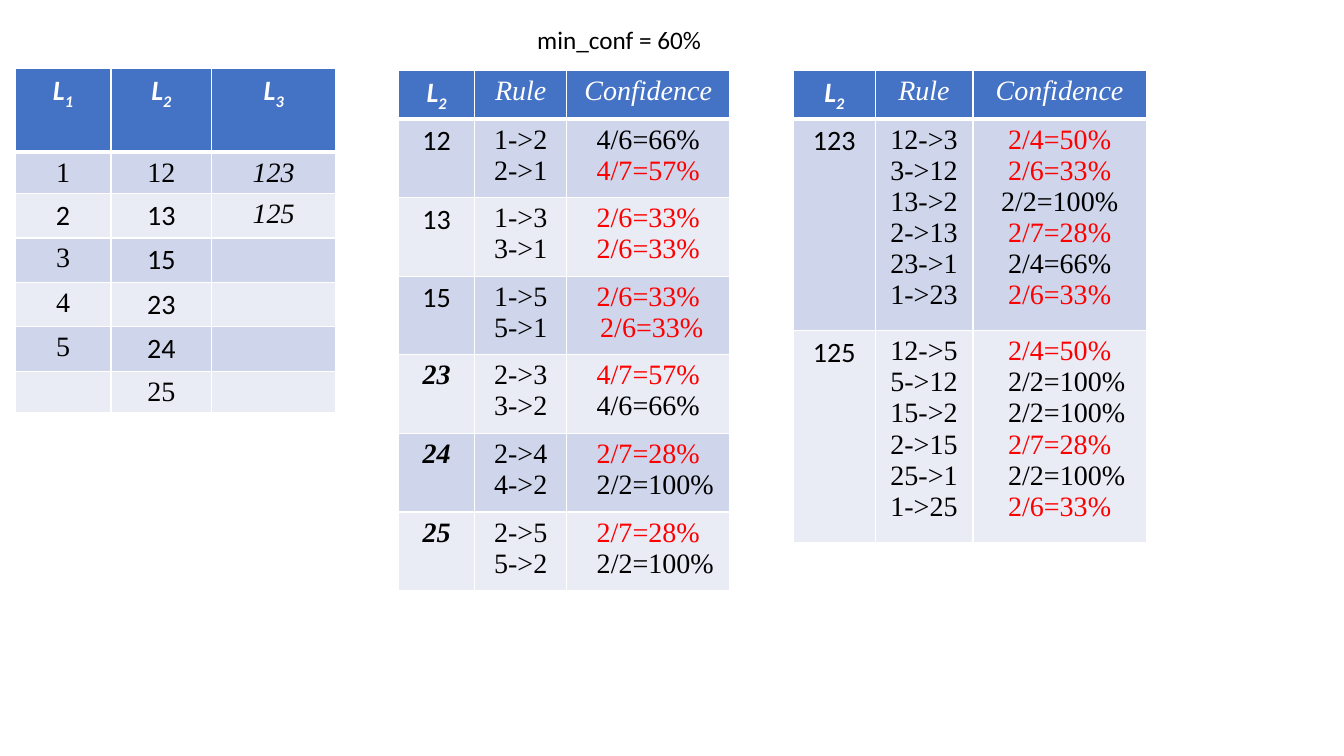
from dataclasses import dataclass

from lxml.etree import SubElement
from pptx import Presentation
from pptx.dml.color import RGBColor as RGB
from pptx.enum.text import PP_ALIGN as Align
from pptx.oxml.ns import qn
from pptx.util import Inches, Pt


class Theme:
    head = RGB.from_string("4472C4")
    bands = RGB.from_string("CFD5EA"), RGB.from_string("E9EBF5")
    white = RGB.from_string("FFFFFF")
    black = RGB.from_string("000000")
    red = RGB.from_string("FF0000")
    sans, serif = "Calibri", "Times New Roman"
    note, body = Pt(18), Pt(20)
    thin, thick = Pt(1), Pt(3)
    hang = Inches(0.38)


MIN = 60


@dataclass
class Line:
    text: str
    font: str = Theme.serif
    color: RGB = Theme.black
    bold: bool = False
    ital: bool = False
    sub: str = ""
    pad: float = 0


def sans(text):
    return [Line(text, Theme.sans)]


def serif(text, **look):
    return [Line(text, **look)]


def level(num):
    """Header of an itemset column: L with a subscript."""
    return [Line("L", Theme.sans, Theme.white, True, True, num)]


def title(text):
    return serif(text, color=Theme.white, ital=True)


def score(text, pad=0):
    """Confidence line, red when it falls below the minimum."""
    share = int(text.split("=")[1].rstrip("%"))
    return Line(text, color=Theme.red if share < MIN else Theme.black, pad=pad)


def rules(item, *pairs):
    """Table row: itemset, its rules, their confidences."""
    return [item, [Line(pair[0]) for pair in pairs],
            [score(*pair[1:]) for pair in pairs]]


def edge(cell, head):
    props = cell._tc.get_or_add_tcPr()
    for side in "LRTB":
        wide = Theme.thick if head and side == "B" else Theme.thin
        line = SubElement(props, qn(f"a:ln{side}"), w=str(int(wide)))
        fill = SubElement(line, qn("a:solidFill"))
        SubElement(fill, qn("a:srgbClr"), val=str(Theme.white))


def write(para, line):
    para.alignment = Align.CENTER
    props = para._p.get_or_add_pPr()
    props.set("marL", str(Theme.hang))
    props.set("indent", str(Inches(line.pad) - Theme.hang))
    font = para.font
    font.name, font.size = line.font, Theme.body
    font.bold, font.italic = line.bold, line.ital
    font.color.rgb = line.color
    para.add_run().text = line.text
    if line.sub:
        run = para.add_run()
        run.text = line.sub
        run.font._element.set("baseline", "-25000")


def grid(slide, left, top, cols, highs, rows):
    """Table with a blue header and banded rows; lengths in inches."""
    frame = slide.shapes.add_table(
        len(rows), len(cols), Inches(left), Inches(top),
        Inches(sum(cols)), Inches(sum(highs)))
    table = frame.table
    for col, wide in zip(table.columns, cols):
        col.width = Inches(wide)
    for r, (row, high) in enumerate(zip(rows, highs)):
        table.rows[r].height = Inches(high)
        for c, lines in enumerate(row):
            cell = table.cell(r, c)
            edge(cell, r == 0)
            cell.fill.solid()
            cell.fill.fore_color.rgb = Theme.bands[(r - 1) % 2] if r else Theme.head
            text = cell.text_frame
            for i, line in enumerate(lines):
                write(text.add_paragraph() if i else text.paragraphs[0], line)


def note(slide, left, top, wide, high):
    box = slide.shapes.add_textbox(*map(Inches, (left, top, wide, high)))
    box.text_frame.word_wrap = True
    para = box.text_frame.paragraphs[0]
    para.text = f"min_conf = {MIN}%"
    para.font.name, para.font.size = Theme.sans, Theme.note
    para.font.color.rgb = Theme.black


def sets(slide, left, top):
    """Frequent itemsets by level."""
    rows = [
        [level("1"), level("2"), level("3")],
        [serif("1"), serif("12"), serif("123", ital=True)],
        [sans("2"), sans("13"), serif("125", ital=True)],
        [serif("3"), sans("15"), []],
        [serif("4"), sans("23"), []],
        [serif("5"), sans("24"), []],
        [[], serif("25"), []],
    ]
    grid(slide, left, top, [0.95, 1, 1.23],
         [0.83, 0.41] + [0.44] * 4 + [0.41], rows)


def head():
    return [level("2"), title("Rule"), title("Confidence")]


def pairs(slide, left, top):
    """Rules from itemsets of two."""
    def strong(text):
        return serif(text, bold=True, ital=True)

    rows = [
        head(),
        rules(sans("12"), ("1->2", "4/6=66%"), ("2->1", "4/7=57%")),
        rules(sans("13"), ("1->3", "2/6=33%"), ("3->1", "2/6=33%")),
        rules(sans("15"), ("1->5", "2/6=33%"), ("5->1", "2/6=33%", 0.07)),
        rules(strong("23"), ("2->3", "4/7=57%"), ("3->2", "4/6=66%")),
        rules(strong("24"), ("2->4", "2/7=28%"), ("4->2", "2/2=100%", 0.14)),
        rules(strong("25"), ("2->5", "2/7=28%"), ("5->2", "2/2=100%", 0.14)),
    ]
    grid(slide, left, top, [0.76, 0.91, 1.62], [0.48] + [0.78] * 6, rows)


def triples(slide, left, top):
    """Rules from itemsets of three."""
    rows = [
        head(),
        rules(sans("123"), ("12->3", "2/4=50%"), ("3->12", "2/6=33%"),
              ("13->2", "2/2=100%"), ("2->13", "2/7=28%"),
              ("23->1", "2/4=66%"), ("1->23", "2/6=33%")),
        rules(sans("125"), ("12->5", "2/4=50%"), ("5->12", "2/2=100%", 0.14),
              ("15->2", "2/2=100%", 0.14), ("2->15", "2/7=28%"),
              ("25->1", "2/2=100%", 0.14), ("1->25", "2/6=33%")),
    ]
    grid(slide, left, top, [0.81, 0.97, 1.72], [0.48, 2.1, 2.1], rows)


def main():
    deck = Presentation()
    deck.slide_width, deck.slide_height = Inches(13.33), Inches(7.5)
    slide = deck.slides.add_slide(deck.slide_layouts[6])
    sets(slide, 0.15, 0.68)
    pairs(slide, 3.95, 0.7)
    note(slide, 5.23, 0.19, 2.47, 0.5)
    triples(slide, 7.87, 0.7)
    deck.save("out.pptx")


if __name__ == "__main__":
    main()
